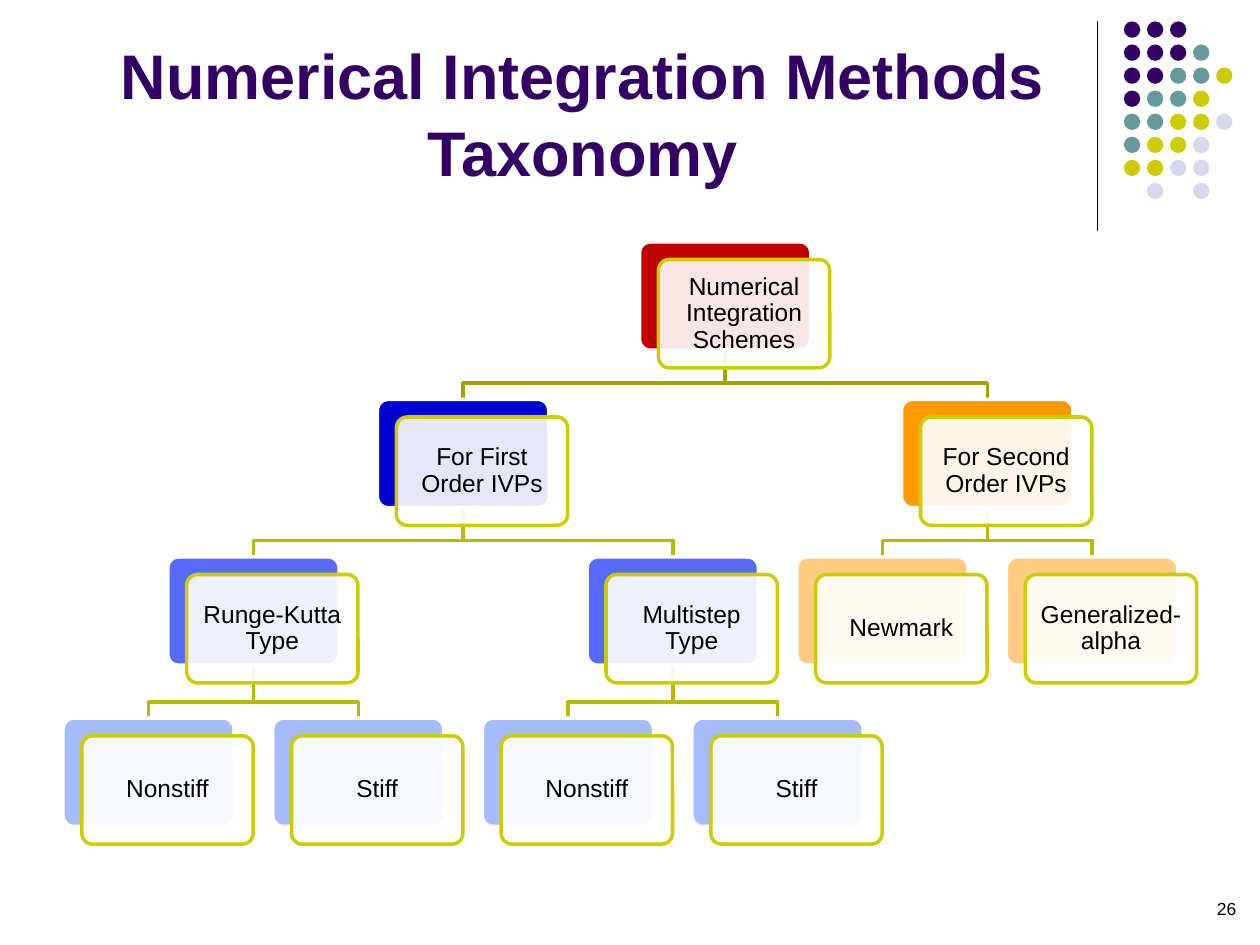
"""Build the numerical integration methods taxonomy slide."""
from lxml.etree import SubElement
from pptx import Presentation
from pptx.dml.color import RGBColor
from pptx.enum.shapes import MSO_CONNECTOR, MSO_SHAPE
from pptx.enum.text import MSO_ANCHOR, PP_ALIGN
from pptx.oxml.ns import qn
from pptx.util import Inches, Pt


def rgb(value):
    return RGBColor.from_string(value)


def write(sp, text, frame, para, font, color):
    tf = sp.text_frame
    p = tf.paragraphs[0]
    p.text = text
    for obj, values in ((tf, frame), (p, para), (p.font, font)):
        for name, value in values.items():
            setattr(obj, name, value)
    p.font.color.rgb = rgb(color)


prs = Presentation()
prs.slide_width, prs.slide_height = Inches(10), Inches(7.5)
s = prs.slides.add_slide(prs.slide_layouts[6])

rule = s.shapes.add_connector(MSO_CONNECTOR.STRAIGHT, Inches(8.71), Inches(0.17), Inches(8.71), Inches(1.83))
rule.line.width = Pt(0.75)
rule.line.color.rgb = rgb("000000")
SubElement(rule._element.spPr, qn("a:effectLst"))

dot_colors = {"P": "330066", "T": "669999", "Y": "CCCC00", "L": "D8D8EC"}
dot_rows = ["PPP", "PPPT", "PPTTY", "PTTY", "TTYYL", "TYYL", "YYLL", " L L"]
for row, dots in enumerate(dot_rows):
    for col, dot in enumerate(dots):
        if dot in dot_colors:
            sp = s.shapes.add_shape(MSO_SHAPE.OVAL, Inches(8.92 + 0.183 * col), Inches(0.17 + 0.183 * row),
                                    Inches(0.13), Inches(0.13))
            sp.shadow.inherit = False
            sp.fill.solid()
            sp.fill.fore_color.rgb = rgb(dot_colors[dot])
            sp.line.fill.background()

title = s.shapes.add_textbox(Inches(0.5), Inches(0.13), Inches(8.25), Inches(1.42))
write(title, "Numerical Integration Methods\vTaxonomy",
      {"word_wrap": True, "vertical_anchor": MSO_ANCHOR.BOTTOM},
      {"alignment": PP_ALIGN.CENTER, "line_spacing": Pt(44)},
      {"name": "Arial", "size": Pt(36), "bold": True}, "330066")

W, H = 1.36, 0.86
row_tops = [1.92, 3.17, 4.42, 5.7]
nodes = [
    ("Numerical Integration Schemes", 5.5, 0, "C00000", None),
    ("For First Order IVPs", 3, 1, "0000D0", 0),
    ("Runge-Kutta Type", 1, 2, "566AFC", 1),
    ("Nonstiff", 0, 3, "A7BCFF", 2),
    ("Stiff", 2, 3, "A7BCFF", 2),
    ("Multistep Type", 5, 2, "566AFC", 1),
    ("Nonstiff", 4, 3, "A7BCFF", 5),
    ("Stiff", 6, 3, "A7BCFF", 5),
    ("For Second Order IVPs", 8, 1, "FF9900", 0),
    ("Newmark", 7, 2, "FFCC81", 8),
    ("Generalized-alpha", 9, 2, "FFCC81", 8),
]
spots = [(0.5 + 0.832 * col, row_tops[row]) for _, col, row, _, _ in nodes]

for (x, y), (_, _, row, _, parent) in zip(spots, nodes):
    if parent is None:
        continue
    px, py = spots[parent]
    points = [(px + W / 2, py + H), (px + W / 2, y - 0.13), (x + W / 2, y - 0.13), (x + W / 2, y)]
    points = [(Inches(a), Inches(b)) for a, b in points]
    fb = s.shapes.build_freeform(*points[0])
    fb.add_line_segments(points[1:], close=False)
    sp = fb.convert_to_shape()
    sp.shadow.inherit = False
    sp.fill.background()
    sp.line.width = Pt(2)
    sp.line.color.rgb = rgb("A3A300" if row == 1 else "B9B900")

margins = ("margin_left", "margin_top", "margin_right", "margin_bottom")
node_frame = {"word_wrap": True, "vertical_anchor": MSO_ANCHOR.MIDDLE, **dict.fromkeys(margins, Inches(0.06))}
for (x, y), (text, _, _, color, _) in zip(spots, nodes):
    for dx, dy, fill, line in ((0, 0, color, "FFFFFF"), (0.15, 0.14, "FFFFFF", "CCCC00")):
        sp = s.shapes.add_shape(MSO_SHAPE.ROUNDED_RECTANGLE, Inches(x + dx), Inches(y + dy), Inches(W), Inches(H))
        sp.adjustments[0] = 0.1
        sp.shadow.inherit = False
        sp.fill.solid()
        sp.fill.fore_color.rgb = rgb(fill)
        sp.line.width = Pt(2)
        sp.line.color.rgb = rgb(line)
    SubElement(sp._element.spPr.find(qn("a:solidFill"))[0], qn("a:alpha"), val="90000")
    write(sp, text, node_frame, {"alignment": PP_ALIGN.CENTER, "line_spacing": 0.9},
          {"name": "Arial", "size": Pt(14)}, "000000")

number = s.shapes.add_textbox(Inches(9.08), Inches(7.08), Inches(0.83), Inches(0.33))
write(number, "26", {"word_wrap": True}, {"alignment": PP_ALIGN.RIGHT},
      {"name": "Arial", "size": Pt(10)}, "000000")

prs.save("out.pptx")
